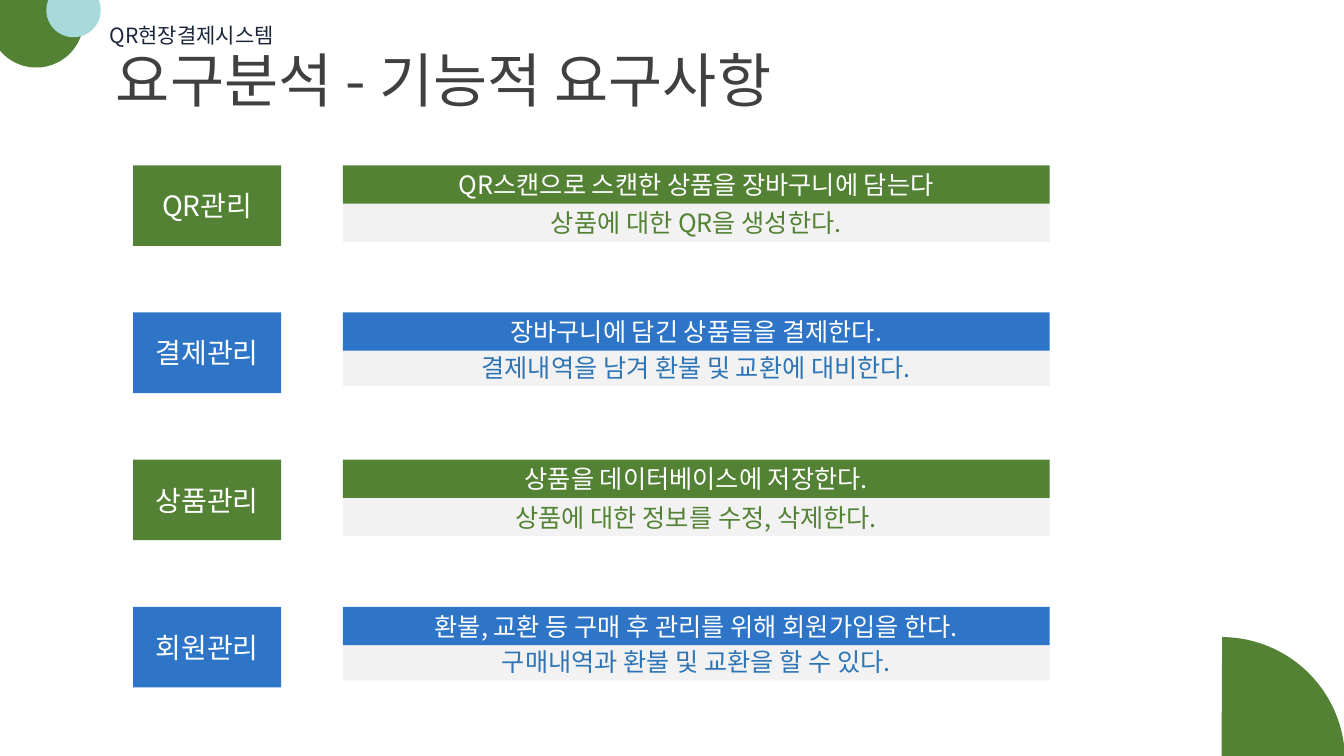
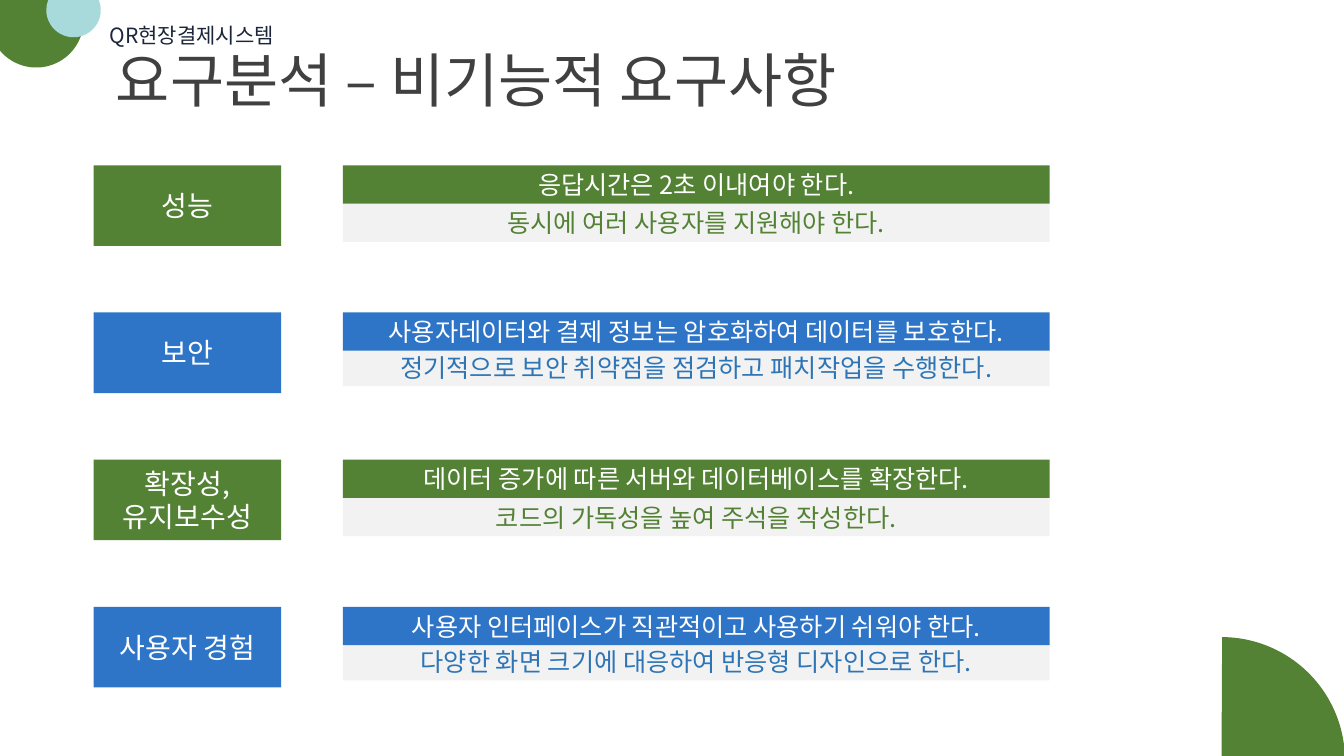
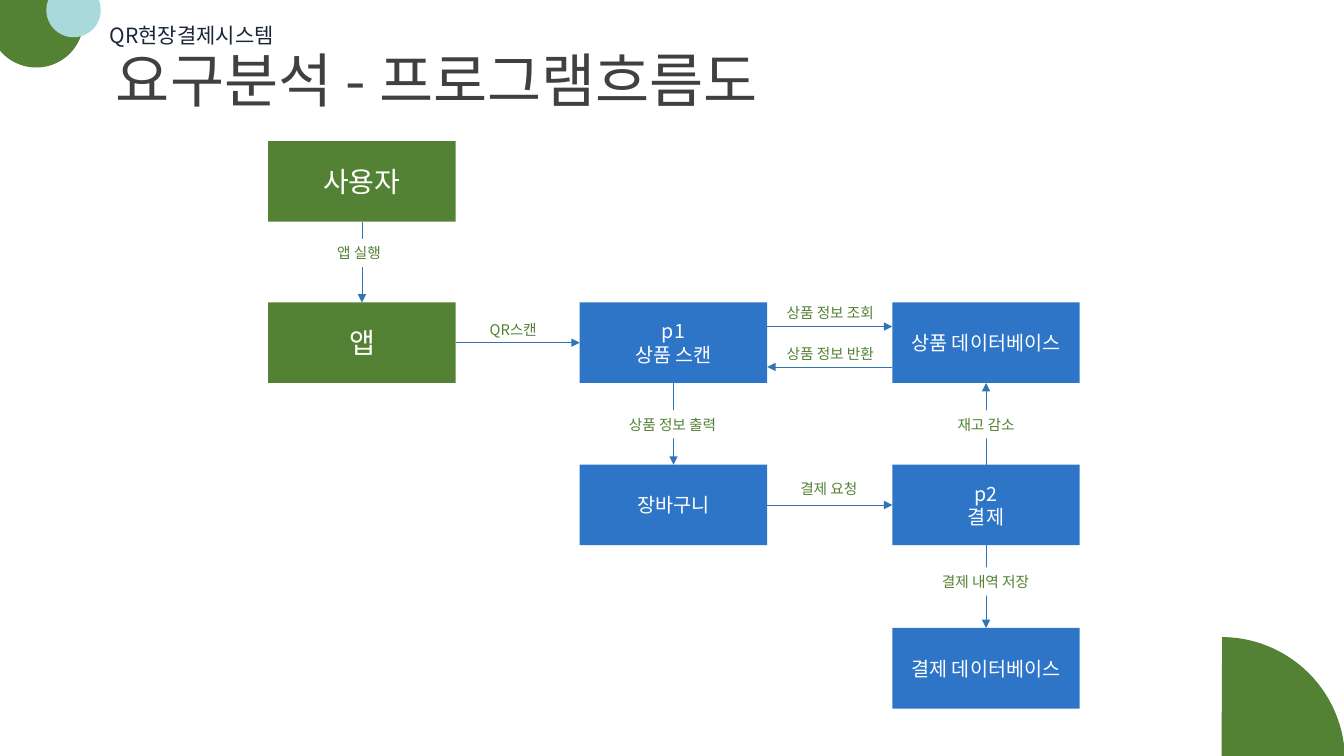
import math

import lxml.etree
import pptx
import pptx.dml.color
import pptx.enum.shapes
import pptx.enum.text
import pptx.oxml.ns
import pptx.util

PX = 9144
WIDTH, HEIGHT = 1333, 750
FONT = "Noto Sans CJK KR"
COLORS = {
    "green": "548235", "blue": "2E75C8", "line": "2E75B6", "aqua": "A8DADC",
    "pale": "F2F2F2", "white": "FFFFFF", "navy": "1B263B", "title": "404040",
}
SHAPES = pptx.enum.shapes.MSO_SHAPE
ALIGN = pptx.enum.text.PP_ALIGN
ANCHOR = pptx.enum.text.MSO_ANCHOR
TOP, LEFT, BOTTOM, RIGHT = range(4)
ROW_TOP, ROW_PITCH = 164, 146
NODE_WIDTH, NODE_HEIGHT = 186, 80

FUNCTIONAL = [
    ("QR관리", "QR스캔으로 스캔한 상품을 장바구니에 담는다", "상품에 대한 QR을 생성한다."),
    ("결제관리", "장바구니에 담긴 상품들을 결제한다.", "결제내역을 남겨 환불 및 교환에 대비한다."),
    ("상품관리", "상품을 데이터베이스에 저장한다.", "상품에 대한 정보를 수정, 삭제한다."),
    ("회원관리", "환불, 교환 등 구매 후 관리를 위해 회원가입을 한다.", "구매내역과 환불 및 교환을 할 수 있다."),
]
NONFUNCTIONAL = [
    ("성능", "응답시간은 2초 이내여야 한다.", "동시에 여러 사용자를 지원해야 한다."),
    ("보안", "사용자데이터와 결제 정보는 암호화하여 데이터를 보호한다.",
     "정기적으로 보안 취약점을 점검하고 패치작업을 수행한다."),
    ("확장성,\n유지보수성", "데이터 증가에 따른 서버와 데이터베이스를 확장한다.",
     "코드의 가독성을 높여 주석을 작성한다."),
    ("사용자 경험", "사용자 인터페이스가 직관적이고 사용하기 쉬워야 한다.",
     "다양한 화면 크기에 대응하여 반응형 디자인으로 한다."),
]
NODES = {
    "user": ("사용자", 0, 0, "green", 20),
    "app": ("앱", 0, 160, "green", 20),
    "scan": ("p1\n상품 스캔", 309, 160, "blue", 14),
    "products": ("상품 데이터베이스", 619, 160, "blue", 14),
    "cart": ("장바구니", 309, 321, "blue", 14),
    "payment": ("p2\n결제", 619, 321, "blue", 14),
    "payments": ("결제 데이터베이스", 619, 483, "blue", 14),
}
JOINS = [
    ("user", BOTTOM, "app", TOP), ("app", RIGHT, "scan", LEFT),
    ("scan", BOTTOM, "cart", TOP), ("cart", RIGHT, "payment", LEFT),
    ("payment", TOP, "products", BOTTOM), ("payment", BOTTOM, "payments", TOP),
]
EXCHANGES = [(495, 184, 619, 184), (619, 224, 495, 224)]
FLOW_LABELS = [
    ("앱 실행", 34, 97, 112, "white"), ("QR스캔", 187, 173, 112, None),
    ("상품 정보 조회", 497, 156, 121, None), ("상품 정보 반환", 497, 197, 121, None),
    ("상품 정보 출력", 340, 267, 122, "white"), ("재고 감소", 656, 267, 112, "white"),
    ("결제 요청", 500, 331, 112, None), ("결제 내역 저장", 645, 423, 133, "white"),
]


def rgb(name):
    """Return the named colour."""
    return pptx.dml.color.RGBColor.from_string(COLORS[name])


def write(shape, text, *, size, color="white", align=ALIGN.CENTER, anchor=ANCHOR.MIDDLE, spacing=1.0):
    """Fill a shape with formatted text, one paragraph a line."""
    frame = shape.text_frame
    frame.word_wrap = True
    frame.auto_size = pptx.enum.text.MSO_AUTO_SIZE.NONE
    frame.vertical_anchor = anchor
    frame.text = text
    for para in frame.paragraphs:
        para.alignment = align
        para.line_spacing = spacing
        for span in para.runs:
            span.font.size = pptx.util.Pt(size)
            span.font.name = FONT
            span.font.color.rgb = rgb(color)
    for props in shape.element.iter(pptx.oxml.ns.qn("a:rPr")):
        lxml.etree.SubElement(props, pptx.oxml.ns.qn("a:ea"), typeface=FONT)


def paint(shape, color):
    """Give a shape a plain fill with neither outline nor shadow."""
    shape.shadow.inherit = False
    shape.fill.solid()
    shape.fill.fore_color.rgb = rgb(color)
    shape.line.fill.background()
    return shape


def add_block(page, left, top, width, height, color, kind=SHAPES.RECTANGLE):
    """Add a plain filled preset shape."""
    return paint(page.shapes.add_shape(kind, left * PX, top * PX, width * PX, height * PX), color)


def add_textbox(page, left, top, width, height):
    """Add an empty text box."""
    return page.shapes.add_textbox(left * PX, top * PX, width * PX, height * PX)


def add_corner_disc(page, center_x, center_y, radius, color):
    """Add a disc cut off by the top left corner of the slide."""
    angles = [math.radians(step * 4) for step in range(90)]
    points = [(max(0, round((center_x + radius * math.cos(angle)) * PX)),
               max(0, round((center_y + radius * math.sin(angle)) * PX))) for angle in angles]
    outline = page.shapes.build_freeform(*points[0])
    outline.add_line_segments(points[1:], close=True)
    return paint(outline.convert_to_shape(), color)


def build_layout(layout, page):
    """Move the shared corners, heading and title place into the layout."""
    for holder in list(layout.placeholders):
        if holder.placeholder_format.idx:
            holder.element.getparent().remove(holder.element)
        else:
            holder.left, holder.top, holder.width, holder.height = 105 * PX, 46 * PX, 901 * PX, 80 * PX
    disc = add_corner_disc(page, 36, 20, 47, "green")
    chord = add_block(page, 46, -17, 54, 54, "aqua", SHAPES.CHORD)
    chord.adjustments[0], chord.adjustments[1] = 202.62, 121.26
    heading = add_textbox(page, 99, 20, 271, 35)
    write(heading, "QR현장결제시스템", size=15, color="navy", align=ALIGN.JUSTIFY,
          anchor=ANCHOR.TOP, spacing=0.9)
    pie = add_block(page, 1089, 632, 245, 245, "green", SHAPES.PIE)
    pie.adjustments[0], pie.adjustments[1] = 162.18, 215.58
    for shape in (disc, chord, heading, pie):
        layout.shapes.element.append(shape.element)


def add_requirement(page, left, top, label_width, texts, color, text_color, overlap):
    """Add a label that ends 61 px before its two stacked bars."""
    label, first, second = texts
    write(add_block(page, left - 61 - label_width, top, label_width, 80, color), label, size=20)
    write(add_block(page, left, top + 38 - overlap, 701, 38, "pale"), second, size=18, color=text_color)
    write(add_block(page, left, top, 701, 38, color), first, size=18)


def fill_requirements(page, label_width, rows):
    """Fill a page with rows in alternating colours."""
    schemes = [("green", "green", 0), ("blue", "line", 3)]
    for index, texts in enumerate(rows):
        add_requirement(page, 340, ROW_TOP + index * ROW_PITCH, label_width, texts, *schemes[index % 2])


def add_arrow(page, start_x, start_y, end_x, end_y):
    """Add a thin straight arrow."""
    arrow = page.shapes.add_connector(pptx.enum.shapes.MSO_CONNECTOR.STRAIGHT,
                                      start_x * PX, start_y * PX, end_x * PX, end_y * PX)
    arrow.line.color.rgb = rgb("line")
    arrow.line.width = pptx.util.Pt(0.5)
    props = arrow.element.spPr
    outline = props.find(pptx.oxml.ns.qn("a:ln"))
    lxml.etree.SubElement(outline, pptx.oxml.ns.qn("a:tailEnd"), type="triangle")
    lxml.etree.SubElement(props, pptx.oxml.ns.qn("a:effectLst"))
    return arrow


def fill_flow(page, left, top):
    """Draw the program flow from its top left corner."""
    nodes = {}
    for name, (text, x, y, color, size) in NODES.items():
        nodes[name] = add_block(page, left + x, top + y, NODE_WIDTH, NODE_HEIGHT, color)
        write(nodes[name], text, size=size)
    for source, source_side, target, target_side in JOINS:
        arrow = add_arrow(page, left, top, left, top)
        arrow.begin_connect(nodes[source], source_side)
        arrow.end_connect(nodes[target], target_side)
    for start_x, start_y, end_x, end_y in EXCHANGES:
        add_arrow(page, left + start_x, top + start_y, left + end_x, top + end_y)
    for text, x, y, width, color in FLOW_LABELS:
        box = (left + x, top + y, width, 28)
        label = add_block(page, *box, color) if color else add_textbox(page, *box)
        write(label, text, size=10.5, color="green")


def main():
    """Build and save the deck."""
    deck = pptx.Presentation()
    deck.slide_width, deck.slide_height = WIDTH * PX, HEIGHT * PX
    layout = deck.slide_layouts[5]
    titles = ["요구분석 - 기능적 요구사항", "요구분석 – 비기능적 요구사항", "요구분석 - 프로그램흐름도"]
    pages = [deck.slides.add_slide(layout) for _ in titles]
    build_layout(layout, pages[0])
    for page, title in zip(pages, titles):
        write(page.shapes.title, title, size=42, color="title", align=ALIGN.LEFT,
              anchor=ANCHOR.TOP, spacing=0.9)
    fill_requirements(pages[0], 147, FUNCTIONAL)
    fill_requirements(pages[1], 186, NONFUNCTIONAL)
    fill_flow(pages[2], 266, 140)
    deck.save("out.pptx")


if __name__ == "__main__":
    main()
